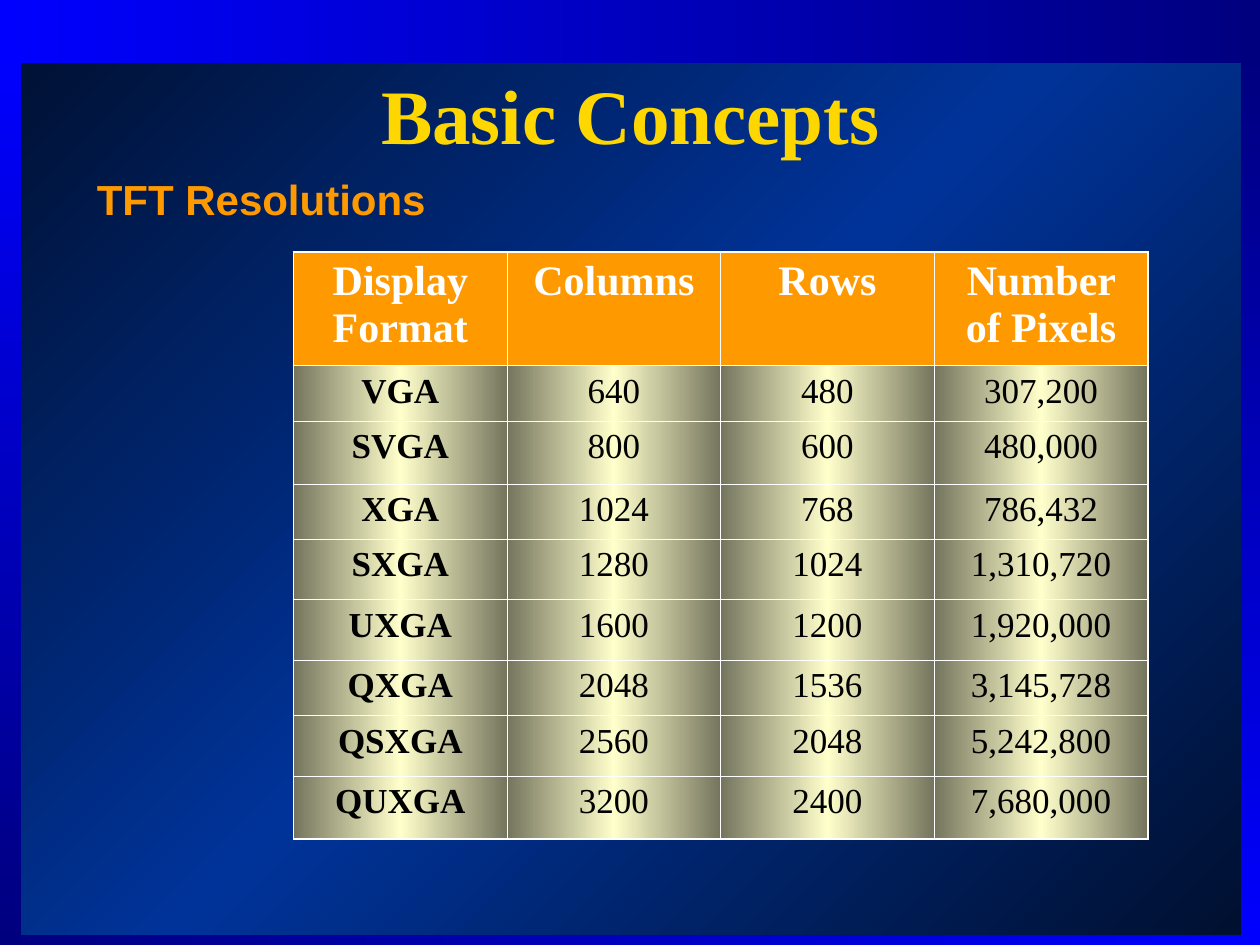
from lxml import etree
from pptx import Presentation
from pptx import util as u
from pptx.dml.color import RGBColor
from pptx.enum import shapes, text
from pptx.oxml.ns import qn

COLORS = {
    "night": "000F2D", "royal": "003399", "navy": "00007E", "blue": "0000FF",
    "gold": "FFD700", "orange": "FF9900", "white": "FFFFFF", "black": "000000",
    "olive": "75755E", "cream": "FFFFCC",
}


def set_gradient(fill, owner, names, angle):
    fill.gradient()
    fill.gradient_angle = angle
    stops = owner.find(".//" + qn("a:gsLst"))
    for stop in list(stops):
        stops.remove(stop)
    for i, name in enumerate(names):
        stop = etree.SubElement(stops, qn("a:gs"), pos=str(100000 * i // (len(names) - 1)))
        etree.SubElement(stop, qn("a:srgbClr"), val=COLORS[name])


def set_font(paragraph, face, size, color, bold):
    paragraph.font.name = face
    paragraph.font.size = u.Pt(size)
    paragraph.font.bold = bold
    paragraph.font.color.rgb = RGBColor.from_string(COLORS[color])


prs = Presentation()
prs.slide_width, prs.slide_height = u.Inches(10), u.Inches(7.5)
slide = prs.slides.add_slide(prs.slide_layouts[6])
set_gradient(slide.background.fill, slide.element, ["night", "royal", "night"], 135)

frame_bars = [
    (0, 0, 10, 0.5, ["navy", "blue"], 180),
    (0, 0.42, 0.17, 7.08, ["blue", "navy"], 270),
    (9.85, 0.42, 0.15, 7.08, ["navy", "blue"], 270),
    (0, 7.42, 9.93, 0.08, ["blue", "navy"], 180),
]
for *box, names, angle in frame_bars:
    bar = slide.shapes.add_shape(shapes.MSO_SHAPE.RECTANGLE, *map(u.Inches, box))
    bar.shadow.inherit = False
    bar.line.fill.background()
    set_gradient(bar.fill, bar.element, names, angle)

headings = [
    ("Basic Concepts", (0.33, 0.58, 9.35, 0.65), "Times New Roman", 44, "gold",
     text.PP_ALIGN.CENTER, text.MSO_ANCHOR.MIDDLE, 0),
    ("TFT Resolutions", (0.67, 1.33, 8.5, 0.58), "Arial", 24, "orange",
     text.PP_ALIGN.LEFT, text.MSO_ANCHOR.TOP, 6),
]
for words, box, face, size, color, align, anchor, space in headings:
    frame = slide.shapes.add_textbox(*map(u.Inches, box)).text_frame
    frame.word_wrap = True
    frame.vertical_anchor = anchor
    heading = frame.paragraphs[0]
    heading.text = words
    heading.alignment = align
    heading.space_before = u.Pt(space)
    set_font(heading, face, size, color, True)

resolutions = [
    ("Display Format", "Columns", "Rows", "Number of Pixels"),
    ("VGA", "640", "480", "307,200"),
    ("SVGA", "800", "600", "480,000"),
    ("XGA", "1024", "768", "786,432"),
    ("SXGA", "1280", "1024", "1,310,720"),
    ("UXGA", "1600", "1200", "1,920,000"),
    ("QXGA", "2048", "1536", "3,145,728"),
    ("QSXGA", "2560", "2048", "5,242,800"),
    ("QUXGA", "3200", "2400", "7,680,000"),
]
row_heights = [0.9, 0.44, 0.5, 0.44, 0.48, 0.48, 0.44, 0.48, 0.5]
last_row, last_col = len(resolutions) - 1, len(resolutions[0]) - 1
table = slide.shapes.add_table(
    last_row + 1, last_col + 1,
    u.Inches(2.33), u.Inches(2), u.Inches(6.78), u.Inches(sum(row_heights))).table
table.first_row = table.horz_banding = False
for row, height in zip(table.rows, row_heights):
    row.height = u.Inches(height)

for r, values in enumerate(resolutions):
    for c, value in enumerate(values):
        cell = table.cell(r, c)
        entry = cell.text_frame.paragraphs[0]
        entry.text = value
        entry.alignment = text.PP_ALIGN.CENTER
        if r == 0:
            set_font(entry, "Times New Roman", 24, "white", True)
            cell.fill.solid()
            cell.fill.fore_color.rgb = RGBColor.from_string(COLORS["orange"])
        else:
            set_font(entry, "Times New Roman", 20, "black", c == 0)
            set_gradient(cell.fill, cell._tc, ["olive", "cream", "olive"], 180)
        outer_edges = {"a:lnL": c == 0, "a:lnR": c == last_col,
                       "a:lnT": r == 0, "a:lnB": r == last_row}
        for i, (edge, is_outer) in enumerate(outer_edges.items()):
            border = etree.Element(qn(edge), w=str(u.Pt(1.08 if is_outer else 0.45)))
            solid = etree.SubElement(border, qn("a:solidFill"))
            etree.SubElement(solid, qn("a:srgbClr"), val=COLORS["white"])
            cell._tc.tcPr.insert(i, border)

prs.save("out.pptx")
